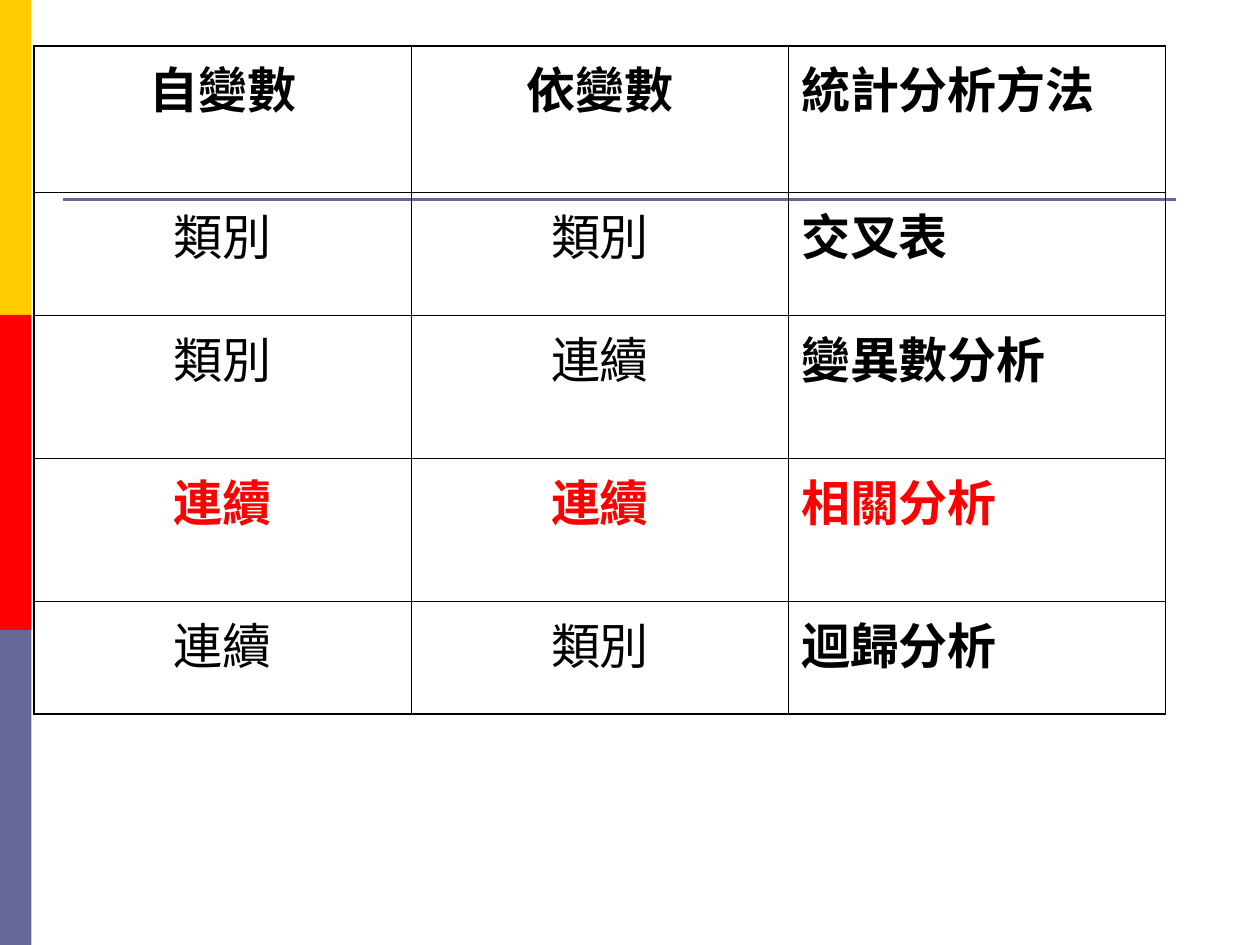
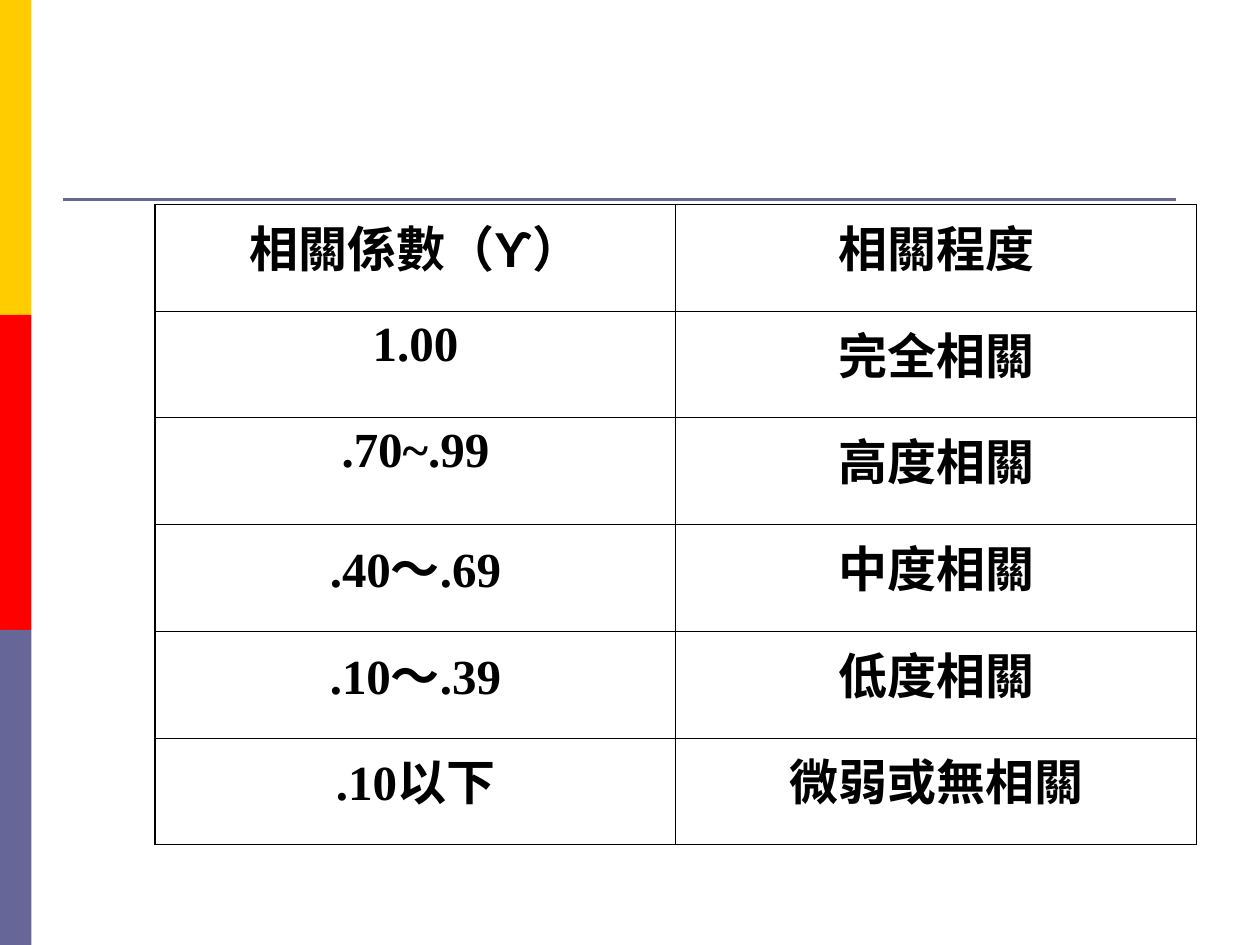
from lxml.etree import SubElement
from pptx import Presentation
from pptx.dml.color import RGBColor
from pptx.enum.lang import MSO_LANGUAGE_ID as Language
from pptx.enum.shapes import MSO_CONNECTOR as Connector, MSO_SHAPE as Shape
from pptx.enum.text import PP_ALIGN as Align
from pptx.oxml.ns import qn
from pptx.util import Pt

BLACK = "000000"
RED = "FF0000"
SLATE = "666699"
BAND_COLORS = ["FFCC00", RED, SLATE]
BAND_WIDTH, BAND_HEIGHT = 18, 180
OUTER_BORDER, INNER_BORDER = 1.08, 0.45
BODY_FONT, SYMBOL_FONT = "Times New Roman", "Arial"
SYMBOL = "ϒ"

METHOD_ROWS = [
    ("自變數", "依變數", "統計分析方法"),
    ("類別", "類別", "交叉表"),
    ("類別", "連續", "變異數分析"),
    ("連續", "連續", "相關分析"),
    ("連續", "類別", "迴歸分析"),
]
METHOD_HEIGHTS = [84, 70.2, 81.7, 81.7, 64.4]
HIGHLIGHTED_ROW = 3

CORRELATION_ROWS = [
    ("相關係數（ϒ）", "相關程度"),
    ("1.00", "完全相關"),
    (".70~.99", "高度相關"),
    (".40～.69", "中度相關"),
    (".10～.39", "低度相關"),
    (".10以下", "微弱或無相關"),
]


def rgb(color):
    return RGBColor.from_string(color)


def add_band(slide, top, color):
    band = slide.shapes.add_shape(
        Shape.RECTANGLE, 0, Pt(top), Pt(BAND_WIDTH), Pt(BAND_HEIGHT))
    band.shadow.inherit = False
    band.fill.solid()
    band.fill.fore_color.rgb = rgb(color)
    band.line.fill.background()


def add_rule(slide):
    rule = slide.shapes.add_connector(
        Connector.STRAIGHT, Pt(36), Pt(114), Pt(672), Pt(114))
    rule.line.color.rgb = rgb(SLATE)
    rule.line.width = Pt(1.5)
    SubElement(rule._element.spPr, qn("a:effectLst"))


def add_decorated_slide(presentation):
    slide = presentation.slides.add_slide(presentation.slide_layouts[6])
    for index, color in enumerate(BAND_COLORS):
        add_band(slide, index * BAND_HEIGHT, color)
    add_rule(slide)
    return slide


def set_border(cell, side, width):
    properties = cell._tc.get_or_add_tcPr()
    border = SubElement(properties, qn(f"a:ln{side}"), w=str(Pt(width)))
    fill = SubElement(border, qn("a:solidFill"))
    SubElement(fill, qn("a:srgbClr"), val=BLACK)


def write_cell(cell, text, bold, color, align):
    paragraph = cell.text_frame.paragraphs[0]
    paragraph.alignment = align
    paragraph.space_before = Pt(7)
    font = paragraph.font
    font.name = BODY_FONT
    font.size = Pt(28)
    font.bold = bold
    font.color.rgb = rgb(color)
    font.language_id = Language.ENGLISH_US
    before, symbol, after = text.partition(SYMBOL)
    for part in filter(None, (before, symbol, after)):
        run = paragraph.add_run()
        run.text = part
        if part == SYMBOL:
            run.font.name = SYMBOL_FONT


def add_grid(slide, left, top, column_width, heights, rows, style):
    row_count, column_count = len(rows), len(rows[0])
    table = slide.shapes.add_table(
        row_count, column_count, Pt(left), Pt(top),
        Pt(column_width * column_count), Pt(sum(heights))).table
    table.first_row = False
    table.horz_banding = False
    for column in table.columns:
        column.width = Pt(column_width)
    for row_index, texts in enumerate(rows):
        table.rows[row_index].height = Pt(heights[row_index])
        for column_index, text in enumerate(texts):
            cell = table.cell(row_index, column_index)
            write_cell(cell, text, *style(row_index, column_index))
            on_edge = {
                "L": column_index == 0,
                "R": column_index == column_count - 1,
                "T": row_index == 0,
                "B": row_index == row_count - 1,
            }
            for side, outer in on_edge.items():
                set_border(cell, side, OUTER_BORDER if outer else INNER_BORDER)
            cell.fill.background()


def method_style(row, column):
    is_method = column == 2
    bold = row in (0, HIGHLIGHTED_ROW) or is_method
    color = RED if row == HIGHLIGHTED_ROW else BLACK
    return bold, color, Align.LEFT if is_method else Align.CENTER


def correlation_style(row, column):
    return True, BLACK, Align.CENTER


def main():
    presentation = Presentation()
    presentation.slide_width = Pt(720)
    presentation.slide_height = Pt(540)

    methods = add_decorated_slide(presentation)
    add_grid(methods, 19.6, 26.2, 215.5, METHOD_HEIGHTS, METHOD_ROWS, method_style)

    correlations = add_decorated_slide(presentation)
    add_grid(correlations, 88.6, 116.8, 297.6, [61] * len(CORRELATION_ROWS),
             CORRELATION_ROWS, correlation_style)

    presentation.save("out.pptx")


if __name__ == "__main__":
    main()
